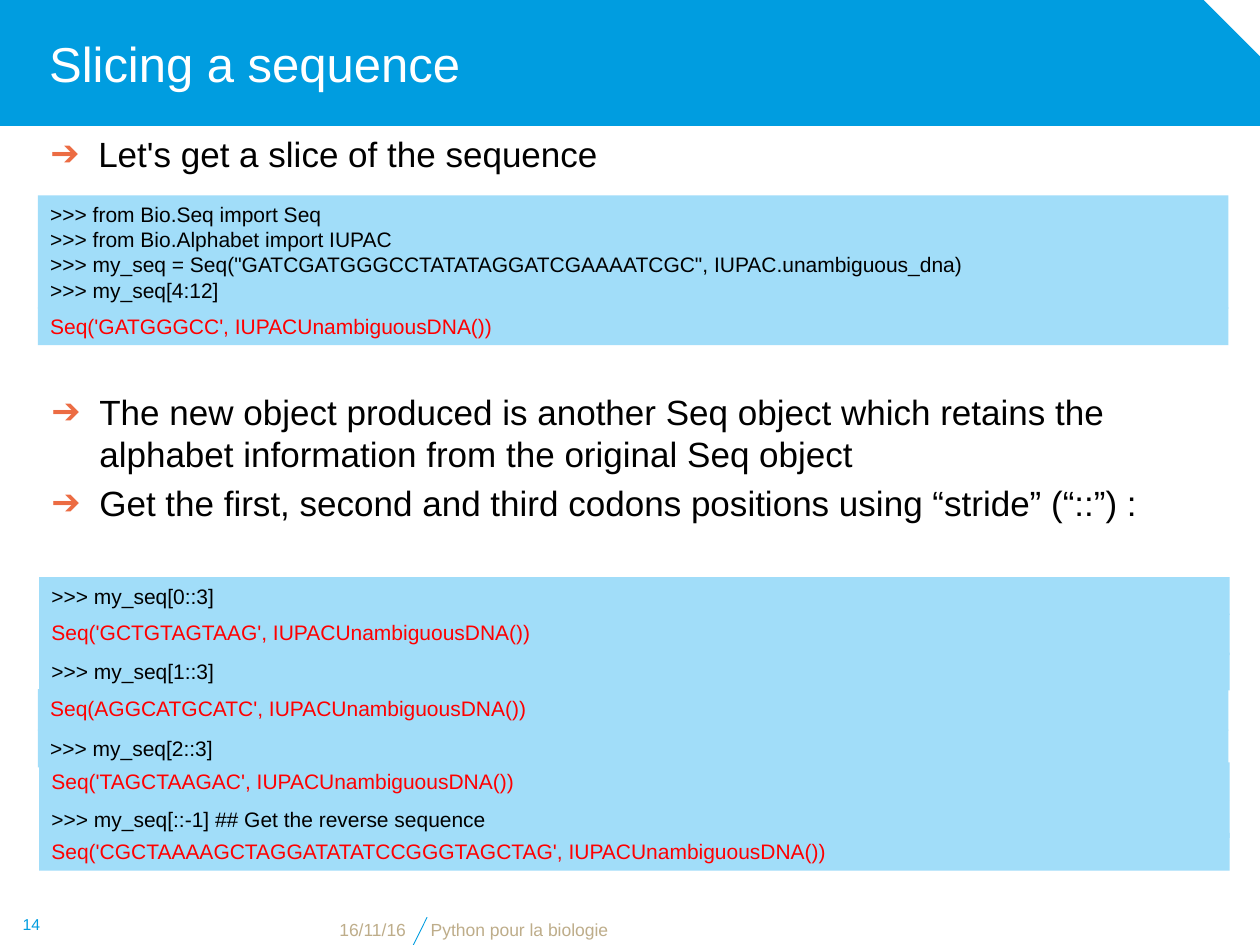
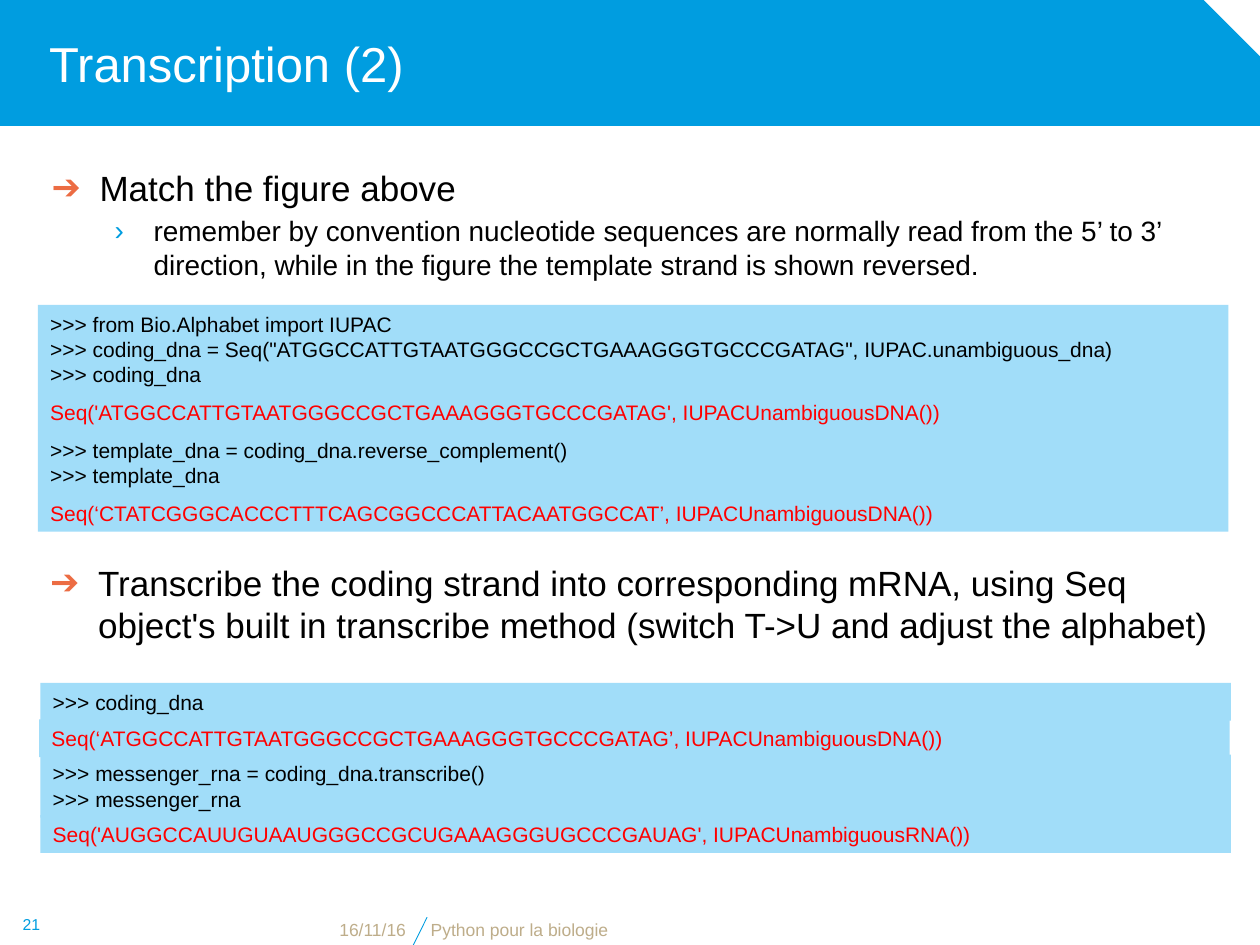
from lxml.etree import SubElement
from pptx import Presentation
from pptx.dml.color import RGBColor
from pptx.enum.shapes import MSO_CONNECTOR, MSO_SHAPE
from pptx.enum.text import MSO_ANCHOR, MSO_AUTO_SIZE, PP_ALIGN
from pptx.oxml.ns import qn
from pptx.util import Inches, Pt

FONT = "Arial"
BLUE = "009DE0"
PALE_BLUE = "A1DDF9"
ORANGE = "EC6C43"
SAND = "BEAD8A"
BLACK = "000000"
RED = "FF0000"
WHITE = "FFFFFF"
CONTENT_WIDTH = 9.45

# One entry per list level: text size, left margin, indent, bullet, bullet colour
LEVELS = [
    (20, 0.38, -0.38, "➔", ORANGE),
    (16, 0.81, -0.31, "›", BLUE),
]


def rgb(value):
    return RGBColor.from_string(value)


def format_runs(para, size, color):
    for span in para.runs:
        span.font.name = FONT
        span.font.size = Pt(size)
        span.font.color.rgb = rgb(color)


def place(shape, left, top, width, height):
    shape.left, shape.top = Inches(left), Inches(top)
    shape.width, shape.height = Inches(width), Inches(height)


def set_bullet(para, left_margin, indent, symbol, color):
    properties = para._p.get_or_add_pPr()
    properties.set("marL", str(Inches(left_margin)))
    properties.set("indent", str(Inches(indent)))
    bullet_color = SubElement(properties, qn("a:buClr"))
    SubElement(bullet_color, qn("a:srgbClr"), val=color)
    SubElement(properties, qn("a:buFont"), typeface=FONT)
    SubElement(properties, qn("a:buChar"), char=symbol)


def fill_list(shape, items):
    """Write (level, text) pairs as bulleted paragraphs."""
    frame = shape.text_frame
    frame.word_wrap = True
    frame.auto_size = MSO_AUTO_SIZE.NONE
    frame.text = "\n".join(text for level, text in items)
    for number, (para, (level, text)) in enumerate(zip(frame.paragraphs, items)):
        size, *bullet = LEVELS[level]
        para.level = level
        set_bullet(para, *bullet)
        para.space_before = Pt(0.2 * size if number else 0)
        format_runs(para, size, BLACK)


def add_list(page, left, top, height, items):
    box = page.shapes.add_textbox(
        Inches(left), Inches(top), Inches(CONTENT_WIDTH), Inches(height))
    fill_list(box, items)


def add_code(page, left, top, lines, color=BLACK, height=None):
    height = height or 0.1 + 0.2 * len(lines)
    box = page.shapes.add_shape(
        MSO_SHAPE.RECTANGLE, Inches(left), Inches(top),
        Inches(CONTENT_WIDTH), Inches(height))
    box.shadow.inherit = False
    box.fill.solid()
    box.fill.fore_color.rgb = rgb(PALE_BLUE)
    box.line.fill.background()
    frame = box.text_frame
    frame.word_wrap = True
    frame.auto_size = MSO_AUTO_SIZE.SHAPE_TO_FIT_TEXT
    frame.vertical_anchor = MSO_ANCHOR.TOP
    frame.text = "\n".join(lines)
    for para in frame.paragraphs:
        para.alignment = PP_ALIGN.LEFT
        format_runs(para, 12, color)


def add_output(page, left, top, line, height=None):
    add_code(page, left, top, [line], RED, height)


def add_footer_text(page, place_at, text, size, color, align, anchor):
    box = page.shapes.add_textbox(*map(Inches, place_at))
    frame = box.text_frame
    frame.word_wrap = True
    frame.vertical_anchor = anchor
    frame.text = text
    para = frame.paragraphs[0]
    para.alignment = align
    format_runs(para, size, color)


def add_band(page):
    """Draw the title band behind the placeholders."""
    band = page.shapes.add_shape(
        MSO_SHAPE.SNIP_1_RECTANGLE, 0, 0, Inches(10.01), Inches(1))
    band.adjustments[0] = 0.458
    band.shadow.inherit = False
    band.fill.solid()
    band.fill.fore_color.rgb = rgb(BLUE)
    band.line.fill.background()
    page.shapes._spTree.insert(2, band._element)


def add_footer(page, number):
    slash = page.shapes.add_connector(
        MSO_CONNECTOR.STRAIGHT, Inches(3.28), Inches(7.5), Inches(3.39), Inches(7.28))
    slash.line.color.rgb = rgb(BLUE)
    slash.line.width = Pt(0.5)
    SubElement(slash._element.spPr, qn("a:effectLst"))
    add_footer_text(page, (0.99, 7.28, 2.33, 0.23), "16/11/16",
                    10, SAND, PP_ALIGN.RIGHT, MSO_ANCHOR.BOTTOM)
    add_footer_text(page, (3.32, 7.28, 5.75, 0.23), "Python pour la biologie",
                    10, SAND, PP_ALIGN.LEFT, MSO_ANCHOR.BOTTOM)
    add_footer_text(page, (0, 7.17, 0.5, 0.33), str(number),
                    9, BLUE, PP_ALIGN.CENTER, MSO_ANCHOR.MIDDLE)


def add_page(deck, title, number, body_place, items):
    page = deck.slides.add_slide(deck.slide_layouts[1])
    add_band(page)
    heading = page.shapes.title
    place(heading, 0, 0, 9.5, 1)
    frame = heading.text_frame
    frame.text = title
    frame.auto_size = MSO_AUTO_SIZE.NONE
    frame.vertical_anchor = MSO_ANCHOR.MIDDLE
    frame.margin_left = Inches(0.39)
    frame.paragraphs[0].alignment = PP_ALIGN.LEFT
    format_runs(frame.paragraphs[0], 28, WHITE)
    body = page.placeholders[1]
    place(body, *body_place)
    fill_list(body, items)
    add_footer(page, number)
    return page


def add_slicing_page(deck):
    page = add_page(deck, "Slicing a sequence", 14, (0.3, 1, CONTENT_WIDTH, 0.58),
                    [(0, "Let's get a slice of the sequence")])
    add_code(page, 0.3, 1.55, [
        ">>> from Bio.Seq import Seq",
        ">>> from Bio.Alphabet import IUPAC",
        '>>> my_seq = Seq("GATCGATGGGCCTATATAGGATCGAAAATCGC", IUPAC.unambiguous_dna)',
        ">>> my_seq[4:12]",
    ])
    add_output(page, 0.3, 2.44, "Seq('GATGGGCC', IUPACUnambiguousDNA())")
    add_list(page, 0.31, 3.05, 1.31, [
        (0, "The new object produced is another Seq object which retains the "
            "alphabet information from the original Seq object"),
        (0, "Get the first, second and third codons positions using “stride” (“::”) :"),
    ])
    add_code(page, 0.31, 4.58, [">>> my_seq[0::3]"])
    add_output(page, 0.31, 4.87, "Seq('GCTGTAGTAAG', IUPACUnambiguousDNA())", 0.33)
    add_code(page, 0.31, 5.18, [">>> my_seq[1::3]"])
    add_output(page, 0.3, 5.47, "Seq(AGGCATGCATC', IUPACUnambiguousDNA())", 0.33)
    add_code(page, 0.3, 5.79, [">>> my_seq[2::3]"])
    add_output(page, 0.31, 6.05, "Seq('TAGCTAAGAC', IUPACUnambiguousDNA())")
    add_code(page, 0.31, 6.35, [">>> my_seq[::-1] ## Get the reverse sequence"])
    add_output(page, 0.31, 6.61,
               "Seq('CGCTAAAAGCTAGGATATATCCGGGTAGCTAG', IUPACUnambiguousDNA())")


def add_transcription_page(deck):
    page = add_page(deck, "Transcription (2)", 21, (0.31, 1.27, CONTENT_WIDTH, 0.72), [
        (0, "Match the figure above"),
        (1, "remember by convention nucleotide sequences are normally read from the "
            "5’ to 3’ direction, while in the figure the template strand is shown reversed."),
    ])
    add_code(page, 0.3, 2.42, [
        ">>> from Bio.Alphabet import IUPAC",
        '>>> coding_dna = Seq("ATGGCCATTGTAATGGGCCGCTGAAAGGGTGCCCGATAG", '
        "IUPAC.unambiguous_dna)",
        ">>> coding_dna",
    ])
    add_output(page, 0.3, 3.12,
               "Seq('ATGGCCATTGTAATGGGCCGCTGAAAGGGTGCCCGATAG', IUPACUnambiguousDNA())")
    add_code(page, 0.3, 3.42, [
        ">>> template_dna = coding_dna.reverse_complement()",
        ">>> template_dna",
    ])
    add_output(page, 0.3, 3.92,
               "Seq(‘CTATCGGGCACCCTTTCAGCGGCCCATTACAATGGCCAT’, IUPACUnambiguousDNA())")
    add_list(page, 0.3, 4.41, 0.87, [
        (0, "Transcribe the coding strand into corresponding mRNA, using Seq object's "
            "built in transcribe method (switch T->U and adjust the alphabet)"),
    ])
    add_code(page, 0.32, 5.42, [">>> coding_dna"])
    add_output(page, 0.31, 5.71,
               "Seq(‘ATGGCCATTGTAATGGGCCGCTGAAAGGGTGCCCGATAG’, IUPACUnambiguousDNA())")
    add_code(page, 0.32, 5.99, [
        ">>> messenger_rna = coding_dna.transcribe()",
        ">>> messenger_rna",
    ])
    add_output(page, 0.32, 6.47,
               "Seq('AUGGCCAUUGUAAUGGGCCGCUGAAAGGGUGCCCGAUAG', IUPACUnambiguousRNA())")


def main():
    deck = Presentation()
    deck.slide_width, deck.slide_height = Inches(10), Inches(7.5)
    add_slicing_page(deck)
    add_transcription_page(deck)
    deck.save("out.pptx")


if __name__ == "__main__":
    main()
